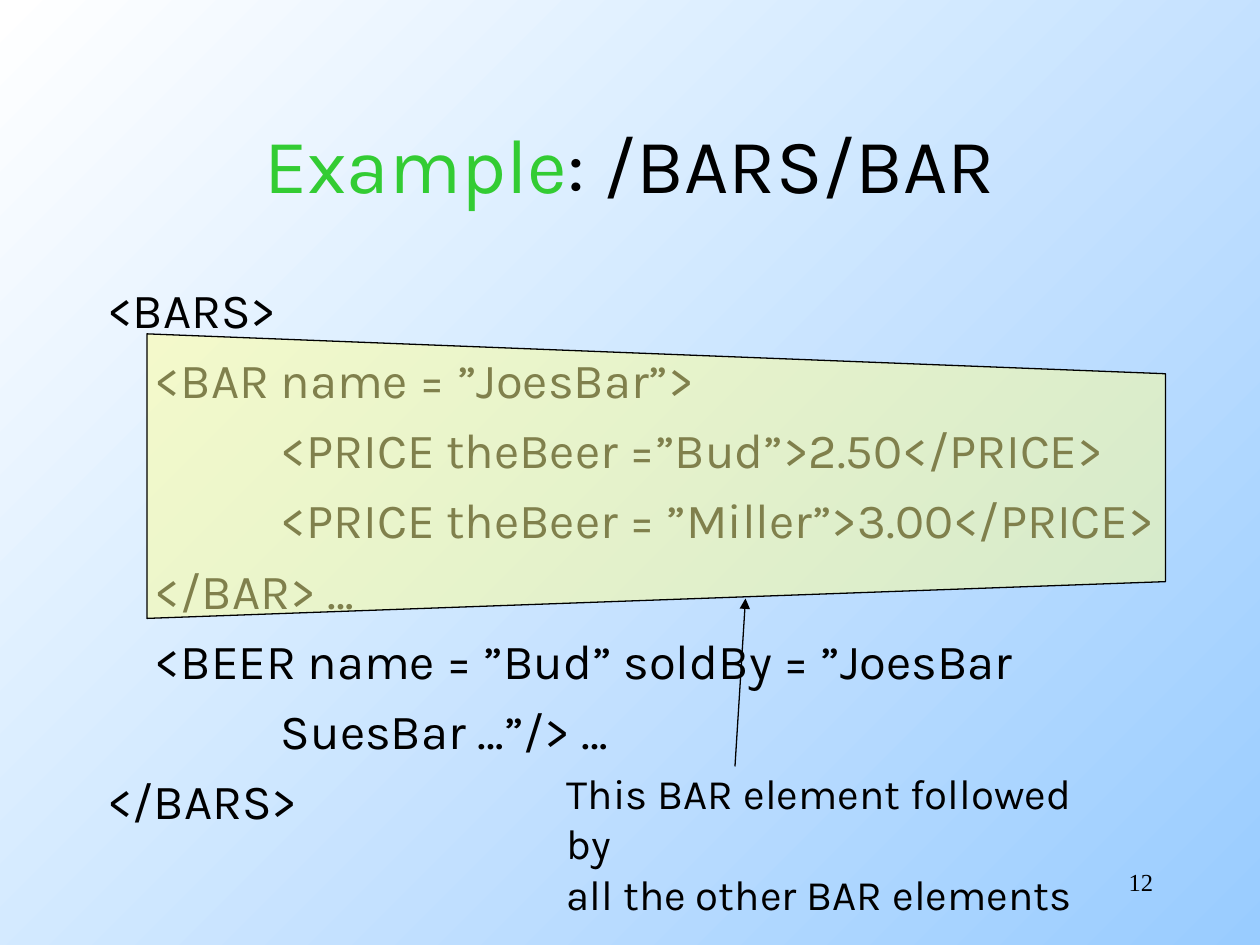
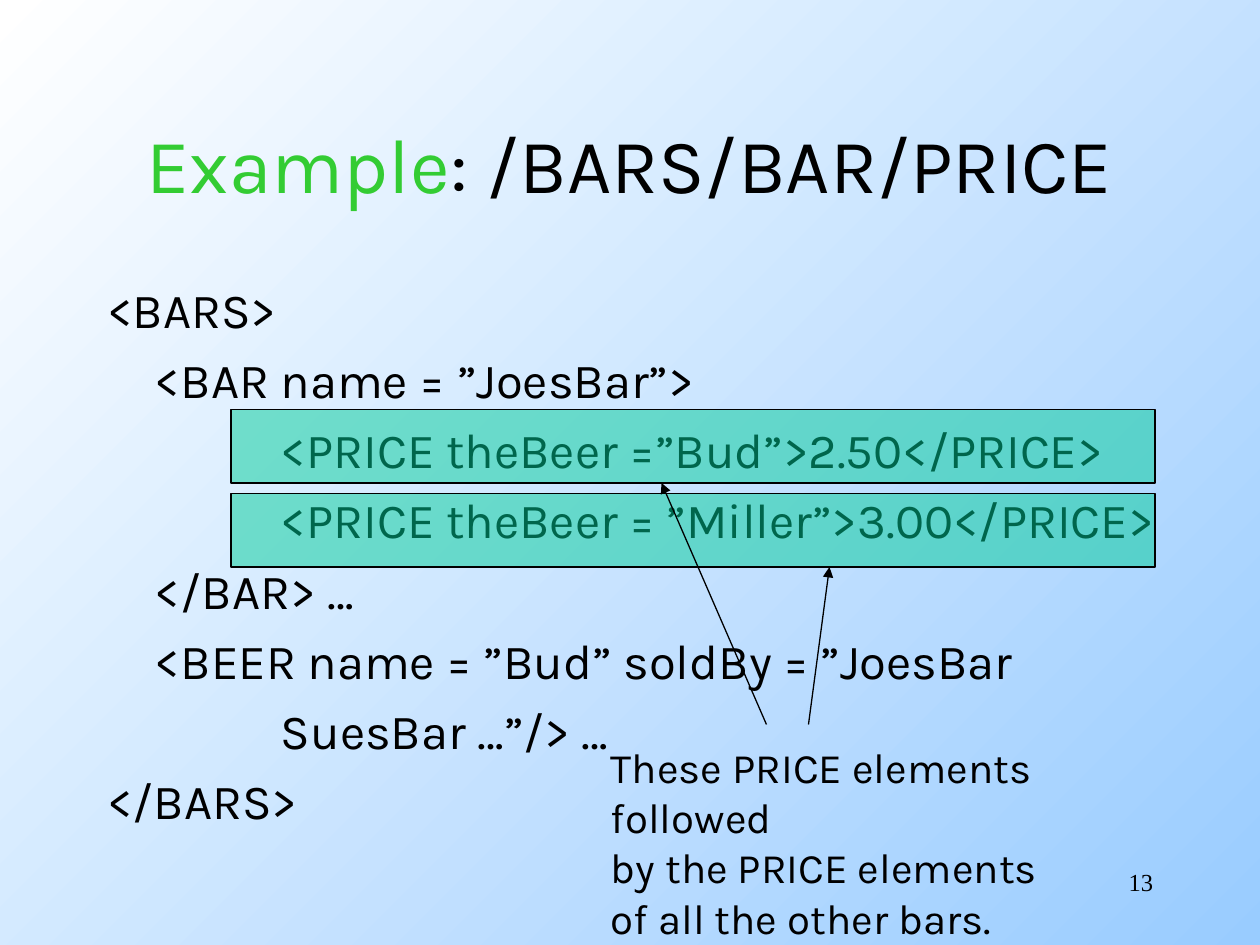
"""Build two slides that show which XML elements a path expression selects."""
from lxml import etree
from pptx import Presentation
from pptx.dml.color import RGBColor
from pptx.enum.shapes import MSO_CONNECTOR, MSO_SHAPE
from pptx.enum.text import MSO_ANCHOR, MSO_AUTO_SIZE, PP_ALIGN
from pptx.oxml.ns import qn
from pptx.util import Inches, Pt

STRAIGHT = MSO_CONNECTOR.STRAIGHT
RECTANGLE = MSO_SHAPE.RECTANGLE
MIDDLE = MSO_ANCHOR.MIDDLE
NO_FIT = MSO_AUTO_SIZE.NONE
LEFT, CENTER, RIGHT = PP_ALIGN.LEFT, PP_ALIGN.CENTER, PP_ALIGN.RIGHT

FONT, NUMBER_FONT = "Karla", "Times New Roman"
BLACK, GREEN, YELLOW, TEAL = "000000", "33CC33", "FFFF99", "00CC99"
SKY = ("FFFFFF", "99CCFF")

WIDTH, HEIGHT = 10, 7.5
CELLS_PER_INCH = 12
TITLE_AREA = (9, 8, 102, 15)
CODE_AREA = (9, 26, 106, 54)
NUMBER_AREA = (86, 82, 25, 6)

DEPTH_INDENTS = (0, 0.38, 1.38)
CODE = [
    (0, "<BARS>"),
    (1, "<BAR name = ”JoesBar”>"),
    (2, "<PRICE theBeer =”Bud”>2.50</PRICE>"),
    (2, "<PRICE theBeer = ”Miller”>3.00</PRICE>"),
    (1, "</BAR> …"),
    (1, "<BEER name = ”Bud” soldBy = ”JoesBar"),
    (2, "SuesBar …”/> …"),
    (0, "</BARS>"),
]

PRICE_TOP, PRICE_STEP = 39, 8
SLIDES = [
    {
        "number": 12,
        "path": "/BARS/BAR",
        "outlines": [[(14, 31.8), (111, 35.6), (111, 55.4), (14, 58.9)]],
        "boxes": [],
        "note": ["This BAR element followed by", "all the other BAR elements"],
        "note_area": (52.8, 72.5, 55, 10.8),
        "arrows": [((70, 73), (71, 57))],
    },
    {
        "number": 13,
        "path": "/BARS/BAR/PRICE",
        "outlines": [],
        "boxes": [(22, PRICE_TOP + row * PRICE_STEP, 88, 7) for row in range(2)],
        "note": ["These PRICE elements followed", "by the PRICE elements",
                 "of all the other bars."],
        "note_area": (57, 70, 58.2, 15.6),
        "arrows": [((73, 69), (63, 46)), ((77, 69), (79, 54))],
    },
]


def color(value):
    return RGBColor.from_string(value)


def cells(values):
    return [Inches(value / CELLS_PER_INCH) for value in values]


def style(part, size, value=BLACK, font=FONT):
    part.font.name = font
    part.font.size = Pt(size)
    part.font.color.rgb = color(value)


def place(placeholder, area):
    placeholder.left, placeholder.top, placeholder.width, placeholder.height = cells(area)
    placeholder.text_frame.auto_size = NO_FIT
    return placeholder.text_frame


def paragraphs(frame, lines):
    frame.text = "\n".join(lines)
    return frame.paragraphs


def add_title(slide, path):
    frame = place(slide.shapes.title, TITLE_AREA)
    frame.vertical_anchor = MIDDLE
    heading = frame.paragraphs[0]
    heading.alignment = CENTER
    for text, value in (("Example", GREEN), (f": {path}", BLACK)):
        run = heading.add_run()
        run.text = text
        style(run, 44, value)


def add_code(slide):
    frame = place(slide.placeholders[1], CODE_AREA)
    lines = paragraphs(frame, [text for _, text in CODE])
    for index, (line, (depth, _)) in enumerate(zip(lines, CODE)):
        properties = line._p.get_or_add_pPr()
        properties.set("marL", str(Inches(DEPTH_INDENTS[depth])))
        properties.set("indent", "0")
        etree.SubElement(properties, qn("a:buNone"))
        line.space_before = Pt(6.5 if index else 0)
        style(line, 28)


def add_text(slide, area, lines, size, font=FONT, alignment=LEFT):
    frame = slide.shapes.add_textbox(*cells(area)).text_frame
    frame.word_wrap = True
    for line in paragraphs(frame, lines):
        line.alignment = alignment
        style(line, size, font=font)


def highlight(shape, value):
    shape.shadow.inherit = False
    shape.fill.solid()
    shape.fill.fore_color.rgb = color(value)
    tint = shape._element.spPr.find(qn("a:solidFill")).find(qn("a:srgbClr"))
    etree.SubElement(tint, qn("a:alpha"), val="50000")
    shape.line.color.rgb = color(BLACK)
    shape.line.width = Pt(0.75)


def add_outline(slide, corners):
    start, *others = [cells(corner) for corner in corners]
    builder = slide.shapes.build_freeform(*start)
    builder.add_line_segments(others, close=True)
    highlight(builder.convert_to_shape(), YELLOW)


def add_arrow(slide, start, end):
    arrow = slide.shapes.add_connector(STRAIGHT, *cells(start + end))
    arrow.line.color.rgb = color(BLACK)
    arrow.line.width = Pt(0.75)
    etree.SubElement(arrow.line._get_or_add_ln(), qn("a:tailEnd"), type="triangle")
    etree.SubElement(arrow._element.spPr, qn("a:effectLst"))


def paint_background(master):
    fill = master.background.fill
    fill.gradient()
    fill.gradient_angle = 315
    for stop, value in zip(fill.gradient_stops, SKY):
        stop.color.rgb = color(value)


def build_slide(deck, content):
    slide = deck.slides.add_slide(deck.slide_layouts[1])
    add_title(slide, content["path"])
    add_code(slide)
    add_text(slide, NUMBER_AREA, [str(content["number"])], 14, NUMBER_FONT, RIGHT)
    for corners in content["outlines"]:
        add_outline(slide, corners)
    for area in content["boxes"]:
        highlight(slide.shapes.add_shape(RECTANGLE, *cells(area)), TEAL)
    add_text(slide, content["note_area"], content["note"], 24)
    for start, end in content["arrows"]:
        add_arrow(slide, start, end)


def main():
    deck = Presentation()
    deck.slide_width, deck.slide_height = Inches(WIDTH), Inches(HEIGHT)
    paint_background(deck.slide_master)
    for content in SLIDES:
        build_slide(deck, content)
    deck.save("out.pptx")


if __name__ == "__main__":
    main()
